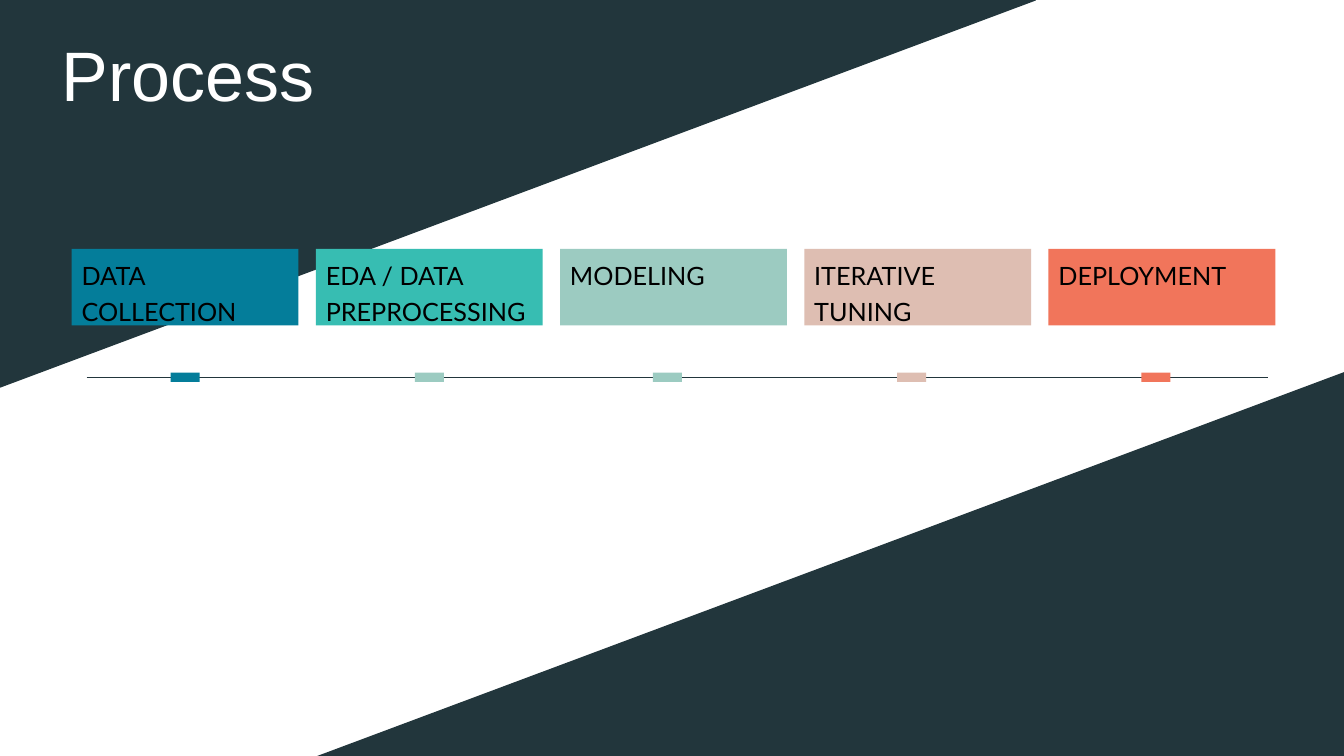
from lxml import etree
from pptx import Presentation
from pptx.dml.color import RGBColor
from pptx.enum.shapes import MSO_CONNECTOR, MSO_SHAPE
from pptx.enum.text import MSO_ANCHOR, PP_ALIGN
from pptx.oxml.ns import qn
from pptx.util import Inches, Pt

RECTANGLE = MSO_SHAPE.RECTANGLE
TRIANGLE = MSO_SHAPE.ISOSCELES_TRIANGLE
STRAIGHT = MSO_CONNECTOR.STRAIGHT
TOP, BOTTOM = MSO_ANCHOR.TOP, MSO_ANCHOR.BOTTOM
LEFT = PP_ALIGN.LEFT

COLORS = {
    "dark": "22363C",
    "white": "FFFFFF",
    "black": "000000",
    "blue": "047D9A",
    "teal": "37BDB2",
    "sage": "9CCBC1",
    "blush": "DEBEB2",
    "coral": "F1755B",
}

# Label, box colour, marker colour, marker offset from the box centre
STAGES = [
    ("DATA COLLECTION", "blue", "blue", 0),
    ("EDA / DATA PREPROCESSING", "teal", "sage", 0),
    ("MODELING", "sage", "sage", -0.45),
    ("ITERATIVE TUNING", "blush", "blush", -0.45),
    ("DEPLOYMENT", "coral", "coral", -0.45),
]

# Lengths are percentages of the slide's width or height
FIRST_LEFT, PITCH = 5.33, 18.17
BOX_TOP, BOX_WIDTH, BOX_HEIGHT = 32.93, 16.88, 10.13
TIMELINE_Y, TIMELINE_START, TIMELINE_END = 49.9, 6.45, 94.37
MARKER_WIDTH, MARKER_HEIGHT = 2.16, 1.2
CORNER_WIDTH, CORNER_HEIGHT = 77.04, 51.2


class ProcessSlide:
    heading_font = "Arial"
    label_font = "Lato"

    def __init__(self, presentation):
        self.width = presentation.slide_width
        self.height = presentation.slide_height
        self.slide = presentation.slides.add_slide(presentation.slide_layouts[6])
        fill = self.slide.background.fill
        fill.solid()
        fill.fore_color.rgb = self.color("white")

    def color(self, name):
        return RGBColor.from_string(COLORS[name])

    def place(self, left, top, width, height):
        """Turn percentages of the slide into lengths."""
        return (
            round(self.width * left / 100),
            round(self.height * top / 100),
            round(self.width * width / 100),
            round(self.height * height / 100),
        )

    def block(self, kind, color, *box):
        shape = self.slide.shapes.add_shape(kind, *self.place(*box))
        shape.shadow.inherit = False
        shape.fill.solid()
        shape.fill.fore_color.rgb = self.color(color)
        shape.line.fill.background()
        return shape

    def corner(self, left, top, flip):
        """Add a dark right triangle mirrored along the given axis."""
        shape = self.block(TRIANGLE, "dark", left, top, CORNER_WIDTH, CORNER_HEIGHT)
        shape.adjustments[0] = 0
        shape.line.color.rgb = self.color("dark")
        shape.line.width = Pt(1)
        shape._element.spPr.find(qn("a:xfrm")).set(flip, "1")

    def set_text(self, shape, text, font_name, size, color, anchor):
        frame = shape.text_frame
        frame.word_wrap = True
        frame.vertical_anchor = anchor
        frame.text = text
        paragraph = frame.paragraphs[0]
        paragraph.alignment = LEFT
        font = paragraph.runs[0].font
        font.name = font_name
        font.size = Pt(size)
        font.color.rgb = self.color(color)
        return paragraph

    def title(self, text, *box):
        shape = self.slide.shapes.add_textbox(*self.place(*box))
        self.set_text(shape, text, self.heading_font, 50, "white", BOTTOM)
        shape.text_frame.margin_top = 0
        shape.text_frame.margin_bottom = Inches(0.85)

    def timeline(self):
        start_x, y, end_x, _ = self.place(TIMELINE_START, TIMELINE_Y, TIMELINE_END, 0)
        line = self.slide.shapes.add_connector(STRAIGHT, start_x, y, end_x, y)
        line.line.color.rgb = self.color("dark")
        line.line.width = Pt(0.5)
        etree.SubElement(line._element.spPr, qn("a:effectLst"))

    def stage_box(self, column, label, color):
        left = FIRST_LEFT + column * PITCH
        shape = self.block(RECTANGLE, color, left, BOX_TOP, BOX_WIDTH, BOX_HEIGHT)
        paragraph = self.set_text(shape, label, self.label_font, 18, "black", TOP)
        paragraph.line_spacing = 1.2

    def marker(self, column, color, offset):
        center = FIRST_LEFT + column * PITCH + BOX_WIDTH / 2 + offset
        self.block(
            RECTANGLE, color,
            center - MARKER_WIDTH / 2, TIMELINE_Y - MARKER_HEIGHT / 2,
            MARKER_WIDTH, MARKER_HEIGHT,
        )


def main():
    presentation = Presentation()
    presentation.slide_width = Inches(13.33)
    presentation.slide_height = Inches(7.5)

    process = ProcessSlide(presentation)
    process.corner(100 - CORNER_WIDTH, 49.33, "flipH")
    process.corner(0, 0, "flipV")
    process.timeline()
    for column, (label, box_color, marker_color, offset) in enumerate(STAGES):
        process.stage_box(column, label, box_color)
        process.marker(column, marker_color, offset)
    process.title("Process", 3.83, 5.6, 40.29, 20.93)

    presentation.save("out.pptx")


if __name__ == "__main__":
    main()
